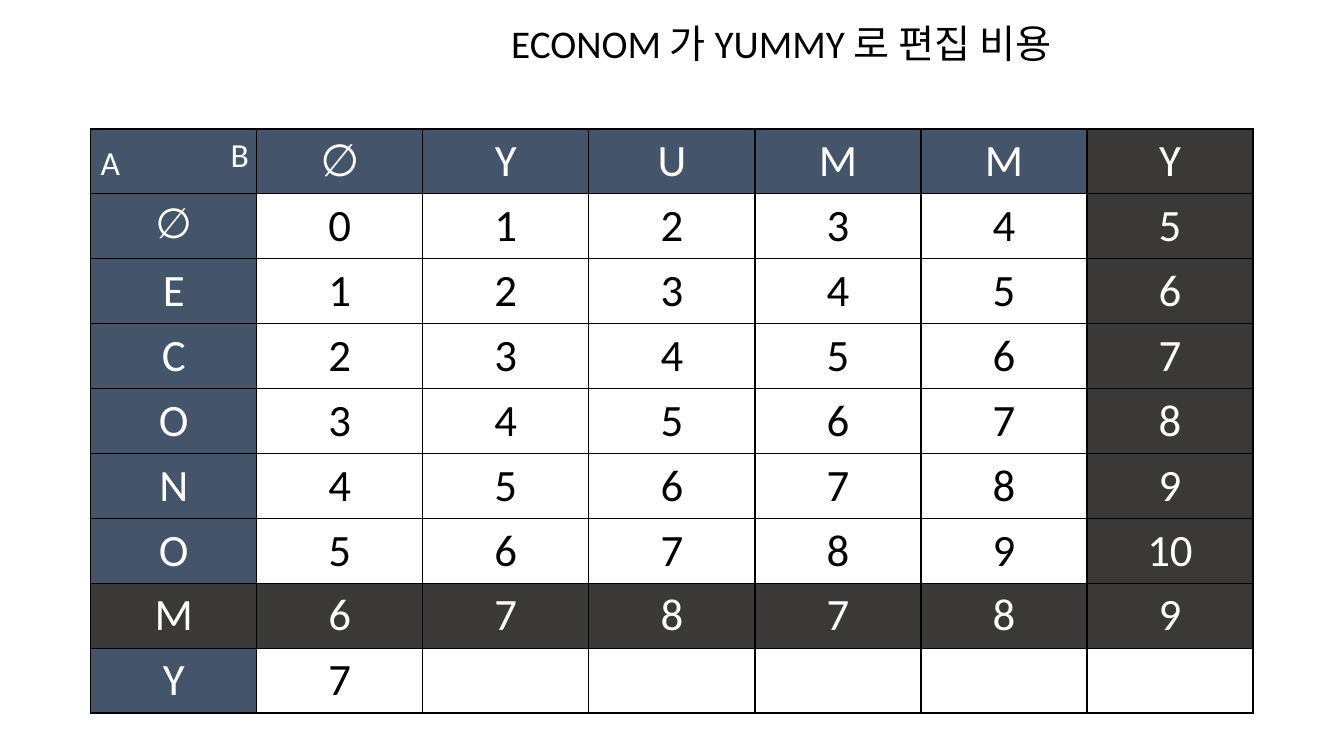
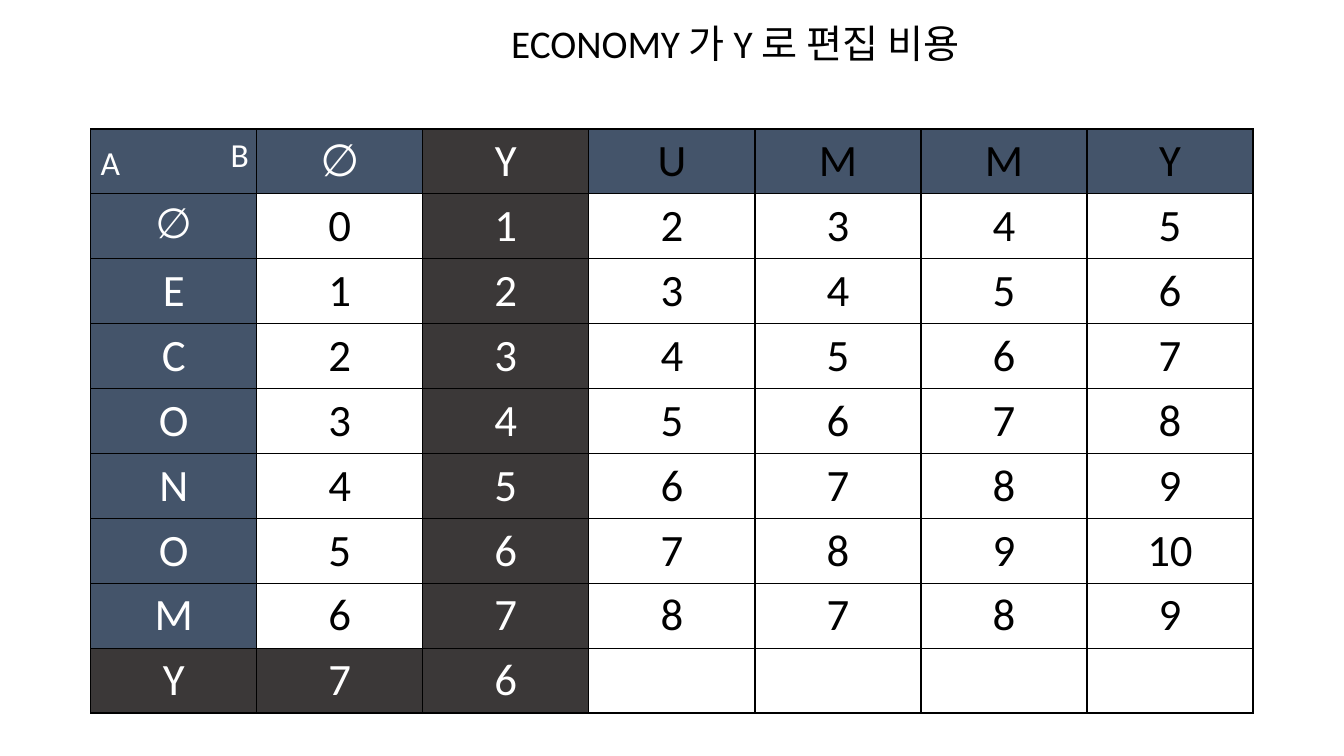
from lxml.etree import SubElement
from pptx import Presentation
from pptx.dml.color import RGBColor
from pptx.enum.text import MSO_ANCHOR, PP_ALIGN
from pptx.oxml.ns import qn
from pptx.util import Inches, Pt

FONT = "Calibri"
BLACK, WHITE, HEADER, TRACE = "000000", "FFFFFF", "44546A", "3B3838"
SOURCE, TARGET = "∅ECONOMY", "∅YUMMY"
ROWS, COLUMNS = len(SOURCE) + 1, len(TARGET) + 1
LEFT, TOP, WIDTH, HEIGHT = 0.9, 1.28, 11.53, 5.79

# Title, title width, and the row and column of the highlighted cell
SLIDES = [
    ("ECONOM 가 YUMMY 로 편집 비용", 5.81, 7, 6),
    ("ECONOMY 가 Y 로 편집 비용", 4.89, 8, 2),
]


def rgb(value):
    return RGBColor.from_string(value)


def style(para, size, colour, align=PP_ALIGN.LEFT):
    para.alignment = align
    para.font.name = FONT
    para.font.size = Pt(size)
    para.font.color.rgb = rgb(colour)


# Edit costs: insert or delete 1, replace 2, match 0
costs = {}
for i, a in enumerate(SOURCE):
    for j, b in enumerate(TARGET):
        if i == 0 or j == 0:
            costs[i, j] = i + j
        else:
            costs[i, j] = min(costs[i - 1, j] + 1, costs[i, j - 1] + 1,
                              costs[i - 1, j - 1] + (0 if a == b else 2))

deck = Presentation()
deck.slide_width, deck.slide_height = Inches(13.33), Inches(7.5)

for heading, heading_width, last_row, last_column in SLIDES:
    page = deck.slides.add_slide(deck.slide_layouts.get_by_name("Title Only"))

    # Title
    title = page.shapes.title
    title.left, title.top = Inches(4.97), Inches(0.14)
    title.width, title.height = Inches(heading_width), Inches(0.57)
    title.text_frame.text = heading
    title.text_frame.word_wrap = True
    title.text_frame.vertical_anchor = MSO_ANCHOR.TOP
    style(title.text_frame.paragraphs[0], 28, BLACK)

    # Cost table
    table = page.shapes.add_table(ROWS, COLUMNS, Inches(LEFT), Inches(TOP),
                                  Inches(WIDTH), Inches(HEIGHT)).table
    for row in range(ROWS):
        for column in range(COLUMNS):
            cell = table.cell(row, column)
            is_header = row == 0 or column == 0
            in_trace = ((row == last_row and column <= last_column)
                        or (column == last_column and row <= last_row))
            fill = TRACE if in_trace else HEADER if is_header else WHITE
            cell.fill.solid()
            cell.fill.fore_color.rgb = rgb(fill)

            # Borders come before the fill in the cell properties
            properties = cell._tc.get_or_add_tcPr()
            for position, side in enumerate(("a:lnL", "a:lnR", "a:lnT", "a:lnB")):
                border = SubElement(properties, qn(side), w=str(Pt(1)))
                line_fill = SubElement(border, qn("a:solidFill"))
                SubElement(line_fill, qn("a:srgbClr"), val=BLACK)
                properties.insert(position, border)

            # Letters on the edges, costs up to the highlighted cell
            if row == 0 and column == 0:
                continue
            if row == 0:
                text = TARGET[column - 1]
            elif column == 0:
                text = SOURCE[row - 1]
            elif column == 1 or (row, column) <= (last_row, last_column):
                text = str(costs[row - 1, column - 1])
            else:
                continue
            cell.text = text
            ahead = row == 0 and column > last_column
            colour = BLACK if fill == WHITE or ahead else WHITE
            size = 30 if (row, column) == (1, 0) else 32
            style(cell.text_frame.paragraphs[0], size, colour, PP_ALIGN.CENTER)

    # Axis names in the corner cell
    for name, left, top in (("A", LEFT, 1.36), ("B", 2.19, TOP)):
        box = page.shapes.add_textbox(Inches(left), Inches(top), Inches(0.4), Inches(0.5))
        box.text_frame.text = name
        box.text_frame.word_wrap = False
        style(box.text_frame.paragraphs[0], 24, WHITE)

deck.save("out.pptx")
